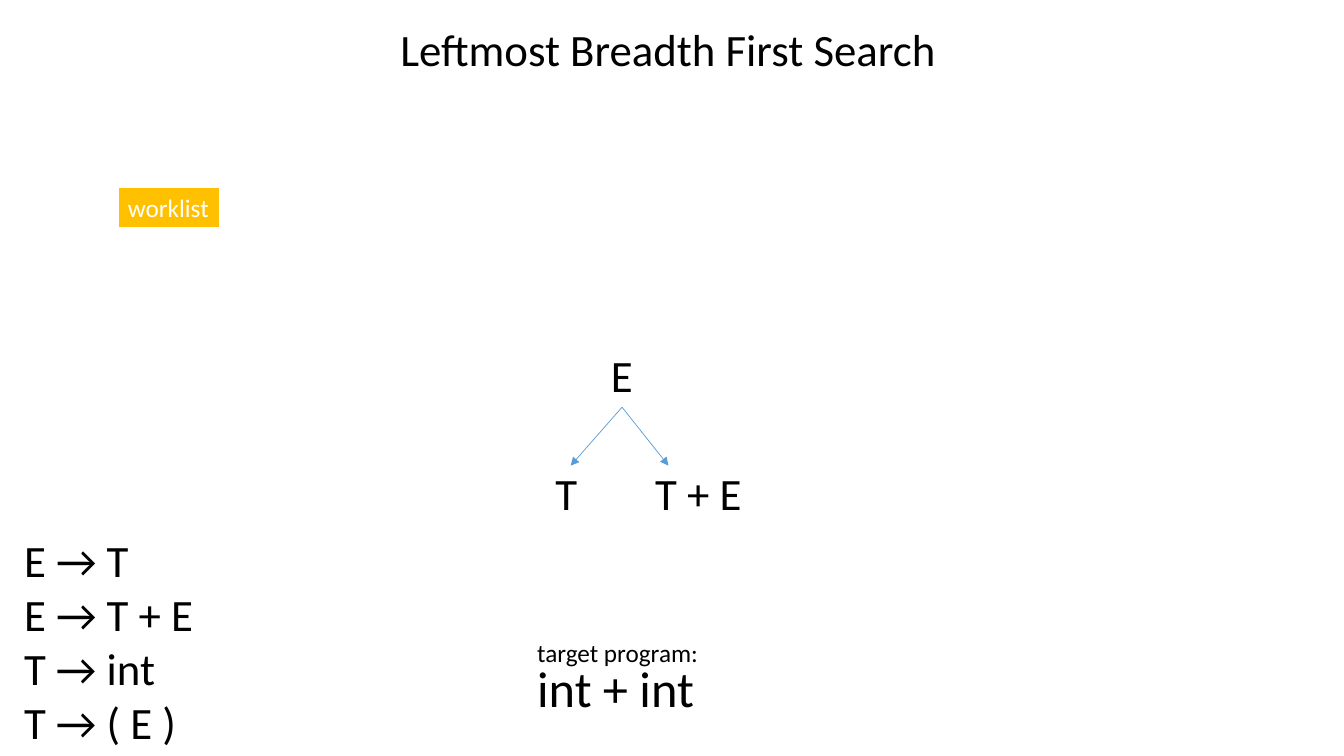
import pptx
import pptx.util
import pptx.dml.color
import pptx.enum.shapes
import pptx.enum.text
import pptx.oxml.ns
from lxml import etree
from pptx.util import Inches

TITLE_ONLY = 5


def colour(code):
    return pptx.dml.color.RGBColor.from_string(code)


class Page:
    """Holds the style and the slide being built."""
    font = "Calibri"
    ink = "000000"
    arrow_ink = "5B9BD5"
    frame_format = {
        "word_wrap": False,
        "auto_size": pptx.enum.text.MSO_AUTO_SIZE.NONE,
        "vertical_anchor": pptx.enum.text.MSO_ANCHOR.TOP,
    }

    def __init__(self, deck):
        self.slide = deck.slides.add_slide(deck.slide_layouts[TITLE_ONLY])
        self.shapes = self.slide.shapes

    def fill_text(self, box, lines, size, ink=None):
        frame = box.text_frame
        for name, value in self.frame_format.items():
            setattr(frame, name, value)
        frame.text = "\n".join(lines)
        font_format = {"name": self.font, "size": pptx.util.Pt(size)}
        for para in frame.paragraphs:
            para.alignment = pptx.enum.text.PP_ALIGN.LEFT
            for span in para.runs:
                for name, value in font_format.items():
                    setattr(span.font, name, value)
                span.font.color.rgb = colour(ink or self.ink)

    def title(self, text, place, size):
        box = self.shapes.title
        for name, value in zip(("left", "top", "width", "height"), place):
            setattr(box, name, Inches(value))
        self.fill_text(box, [text], size)

    def text(self, lines, place, size):
        box = self.shapes.add_textbox(*map(Inches, place))
        self.fill_text(box, lines, size)

    def label(self, text, place, size, fill, ink):
        box = self.shapes.add_shape(
            pptx.enum.shapes.MSO_SHAPE.RECTANGLE, *map(Inches, place))
        box.shadow.inherit = False
        box.fill.solid()
        box.fill.fore_color.rgb = colour(fill)
        box.line.color.rgb = colour(ink)
        box.line.width = pptx.util.Pt(1.5)
        self.fill_text(box, [text], size, ink)

    def arrow(self, start, end):
        connector = self.shapes.add_connector(
            pptx.enum.shapes.MSO_CONNECTOR.STRAIGHT, *map(Inches, start + end))
        connector.line.color.rgb = colour(self.arrow_ink)
        connector.line.width = pptx.util.Pt(0.5)
        qn = pptx.oxml.ns.qn
        outline = connector._element.spPr.find(qn("a:ln"))
        etree.SubElement(outline, qn("a:tailEnd"), type="triangle")
        etree.SubElement(connector._element.spPr, qn("a:effectLst"))


deck = pptx.Presentation()
deck.slide_width = Inches(13.33)
deck.slide_height = Inches(7.5)
page = Page(deck)

page.title("Leftmost Breadth First Search", (3.87, 0.17, 5.58, 0.64), 32)

# Grammar rules
rules = ["E → T", "E → T + E", "T → int", "T → ( E )"]
page.text(rules, (0.14, 5.24, 1.93, 2.26), 32)

# Target program
page.text(["int + int"], (5.23, 6.47, 1.77, 0.71), 36)
page.text(["target program:"], (5.23, 6.27, 1.88, 0.4), 18)

# Worklist label
page.label("worklist", (1.17, 1.86, 1.01, 0.4), 18, "FFC000", "FFFFFF")

# Search tree: the root and its two expansions
root_foot = (6.17, 4.04)
page.text(["E"], (5.96, 3.4, 0.42, 0.64), 32)
for text, left, width, tip in (("T", 5.41, 0.42, 5.66), ("T + E", 6.4, 1.07, 6.63)):
    page.arrow(root_foot, (tip, 4.62))
    page.text([text], (left, 4.57, width, 0.64), 32)

deck.save("out.pptx")
